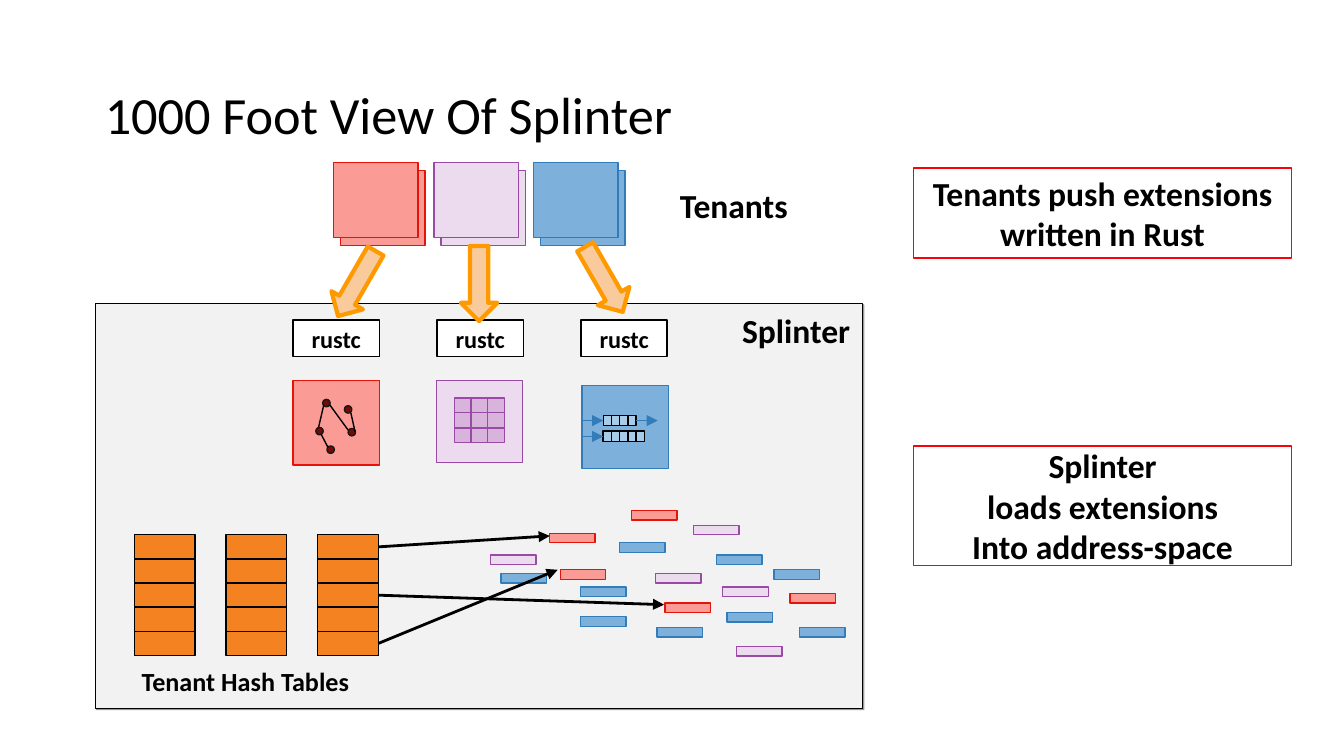
import pptx
import pptx.util
import pptx.dml.color
import pptx.enum.shapes
import pptx.enum.text
import pptx.oxml
import pptx.oxml.ns
import pptx.oxml.xmlchemy
from dataclasses import dataclass

Cm = pptx.util.Cm
Shape = pptx.enum.shapes.MSO_SHAPE
Align = pptx.enum.text.PP_ALIGN
Anchor = pptx.enum.text.MSO_ANCHOR


@dataclass(frozen=True)
class Theme:
    font: str = "Calibri"
    title: float = 28
    heading: float = 18
    caption: float = 14
    label: float = 13
    thin: float = 0.75
    medium: float = 1.5
    thick: float = 2.25
    ink: str = "000000"
    paper: str = "FFFFFF"
    panel: str = "F2F2F2"
    callout: str = "FF000A"
    table: str = "F58220"
    # Pairs of fill and line
    red: tuple = ("FB9B96", "E61408")
    purple: tuple = ("ECDAEE", "994AA4")
    blue: tuple = ("7DB1DC", "327CB9")
    push: tuple = ("F9CB9C", "FF9900")
    node: tuple = ("730A04", "181717")
    grid: tuple = ("D8B4DD", "994AA4")
    queue: tuple = ("A8CBE8", "000000")


T = Theme()


def rgb(value):
    return pptx.dml.color.RGBColor.from_string(value)


def add_shape(s, box, colours, kind=Shape.RECTANGLE, width=T.thin):
    sp = s.shapes.add_shape(kind, *[Cm(v) for v in box])
    sp.shadow.inherit = False
    sp.fill.solid()
    sp.fill.fore_color.rgb = rgb(colours[0])
    sp.line.color.rgb = rgb(colours[1])
    sp.line.width = pptx.util.Pt(width)
    return sp


def write(sp, text, size, align=Align.CENTER, anchor=Anchor.MIDDLE, bold=True):
    tf = sp.text_frame
    tf.word_wrap = True
    tf.auto_size = pptx.enum.text.MSO_AUTO_SIZE.NONE
    tf.vertical_anchor = anchor
    tf.margin_left = tf.margin_right = Cm(0.23)
    tf.margin_top = tf.margin_bottom = Cm(0.11)
    tf.text = text
    for p in tf.paragraphs:
        p.alignment = align
        for r in p.runs:
            r.font.name = T.font
            r.font.size = pptx.util.Pt(size)
            r.font.bold = bold
            r.font.color.rgb = rgb(T.ink)


def add_label(s, box, text, size):
    sp = s.shapes.add_textbox(*[Cm(v) for v in box])
    write(sp, text, size, anchor=Anchor.TOP)


def add_line(s, start, end, colour=T.ink, width=T.thin, arrow=False):
    line = s.shapes.add_connector(pptx.enum.shapes.MSO_CONNECTOR.STRAIGHT,
                                  *[Cm(v) for v in (*start, *end)])
    line.line.color.rgb = rgb(colour)
    line.line.width = pptx.util.Pt(width)
    spPr = line._element.spPr
    if arrow:
        head = pptx.oxml.xmlchemy.OxmlElement("a:tailEnd")
        head.set("type", "triangle")
        spPr.find(pptx.oxml.ns.qn("a:ln")).append(head)
    spPr.append(pptx.oxml.xmlchemy.OxmlElement("a:effectLst"))


def add_title(s, box, text):
    sp = s.shapes.title
    sp.left, sp.top, sp.width, sp.height = [Cm(v) for v in box]
    write(sp, text, T.title, align=Align.LEFT, bold=False)


def add_panel(s, box):
    sp = add_shape(s, box, (T.panel, T.ink))
    write(sp, "Splinter", T.heading, align=Align.RIGHT, anchor=Anchor.TOP)
    effects = sp._element.spPr.find(pptx.oxml.ns.qn("a:effectLst"))
    effects.append(pptx.oxml.parse_xml(
        '<a:outerShdw xmlns:a="http://schemas.openxmlformats.org/drawingml/2006/main"'
        ' dist="12700" dir="2700000" rotWithShape="0">'
        '<a:srgbClr val="000000"><a:alpha val="40000"/></a:srgbClr></a:outerShdw>'))


def add_tenants(s, box):
    x, y, w, h = box
    # Each tenant is a pair of overlapping cards
    for dx, colours in ((0, T.red), (1.9, T.purple), (3.78, T.blue)):
        for shift in (0.15, 0):
            add_shape(s, (x + dx + shift * 0.9, y + shift, 1.6, 1.42), colours)
    add_label(s, (x + w - 2.84, y + 0.31, 2.84, 0.99), "Tenants", T.heading)
    # Arrows that push extensions down
    for dx, dy, turn in ((0.1, 1.58, 30), (2.41, 1.58, 0), (4.77, 1.5, -30)):
        sp = add_shape(s, (x + dx, y + dy, 0.69, 1.42), T.push,
                       Shape.DOWN_ARROW, T.thick)
        sp.rotation = turn


def add_compilers(s, box, pitch):
    x, y, w, h = box
    for i in range(3):
        sp = add_shape(s, (x + i * pitch, y, w, h), (T.paper, T.ink))
        write(sp, "rustc", T.label)


def add_graph_tile(s, box):
    x, y, w, h = box
    add_shape(s, box, T.red)
    for dx, dy in ((0.43, 0.89), (0.97, 0.48), (0.56, 0.36),
                   (0.64, 1.24), (1.04, 0.91)):
        add_shape(s, (x + dx, y + dy, 0.14, 0.14), T.node, Shape.OVAL)
    for x1, y1, x2, y2 in ((0.58, 0.46, 0.48, 0.89), (0.53, 1.02, 0.66, 1.27),
                           (1.09, 0.61, 1.17, 0.97), (0.69, 0.46, 1.04, 0.94)):
        add_line(s, (x + x1, y + y1), (x + x2, y + y2))


def add_cells(s, box, rows, cols, colours):
    x, y, w, h = box
    cw, ch = w / cols, h / rows
    for row in range(rows):
        for col in range(cols):
            add_shape(s, (x + col * cw, y + row * ch, cw, ch), colours)


def add_grid_tile(s, box):
    x, y, w, h = box
    add_shape(s, box, T.purple)
    add_cells(s, (x + 0.34, y + 0.33, 0.94, 0.85), 3, 3, T.grid)


def add_queue_tile(s, box):
    x, y, w, h = box
    add_shape(s, box, T.blue)
    # Two queues, each fed from the left edge
    for dy, cells, length in ((0.56, 4, 0.62), (0.86, 5, 0.78)):
        add_cells(s, (x + 0.4, y + dy, length, 0.2), 1, cells, T.queue)
        add_line(s, (x, y + dy + 0.1), (x + 0.4, y + dy + 0.1), T.blue[1], arrow=True)
    add_line(s, (x + 1.02, y + 0.66), (x + 1.43, y + 0.66), T.blue[1], arrow=True)


def add_hash_tables(s, box):
    x, y, w, h = box
    for i in range(3):
        add_cells(s, (x + i * 1.73, y, w - 2 * 1.73, h), 5, 1, (T.table, T.ink))
    add_label(s, (x - 0.3, y + h + 0.08, 4.8, 0.79), "Tenant Hash Tables", T.caption)


def add_records(s, box):
    x, y, w, h = box
    places = (
        (T.blue, ((5.84, 2.21), (4.47, 1.93), (3.15, 2.21), (4.27, 0.84), (1.7, 1.45),
                  (0.2, 1.19), (2.44, 0.61), (1.7, 2.01), (5.36, 1.12))),
        (T.purple, ((4.65, 2.57), (4.39, 1.45), (3.12, 1.19), (0, 0.84), (3.84, 0.28))),
        (T.red, ((5.66, 1.57), (3.3, 1.75), (1.32, 1.12), (1.12, 0.43), (2.67, 0))),
    )
    for colours, points in places:
        for dx, dy in points:
            add_shape(s, (x + dx, y + dy, 0.86, 0.18), colours)


def add_lookups(s, tables, records):
    x, y, w, h = tables
    # Row of the last table, and the end point within the records
    for row, dx, dy in ((0, 1.12, 0.48), (2, 3.28, 1.78), (4, 1.27, 1.12)):
        add_line(s, (x + w, y + (row + 0.5) * h / 5),
                 (records[0] + dx, records[1] + dy), width=T.medium, arrow=True)


def add_callout(s, box, text):
    write(add_shape(s, box, (T.paper, T.callout)), text, T.heading)


def main():
    prs = pptx.Presentation()
    prs.slide_width, prs.slide_height = Cm(25.4), Cm(14.29)
    s = prs.slides.add_slide(prs.slide_layouts[5])

    add_title(s, (1.75, 0.76, 21.9, 2.77), "1000 Foot View Of Splinter")
    add_panel(s, (1.8, 5.74, 14.5, 7.65))

    # Extensions inside the server
    add_compilers(s, (5.54, 6.05, 1.63, 0.69), 2.72)
    add_graph_tile(s, (5.54, 7.19, 1.63, 1.6))
    add_grid_tile(s, (8.25, 7.19, 1.63, 1.55))
    add_queue_tile(s, (11, 7.29, 1.63, 1.57))

    # Stored data
    tables = (2.54, 10.11, 4.61, 2.28)
    records = (9.27, 9.65, 6.7, 2.75)
    add_hash_tables(s, tables)
    add_records(s, records)
    add_lookups(s, tables, records)

    add_tenants(s, (6.3, 3.07, 8.99, 3))
    add_callout(s, (17.27, 3.18, 7.14, 1.7), "Tenants push extensions\nwritten in Rust")
    add_callout(s, (17.27, 8.43, 7.14, 2.26),
                "Splinter\nloads extensions\nInto address-space")
    prs.save("out.pptx")


if __name__ == "__main__":
    main()
